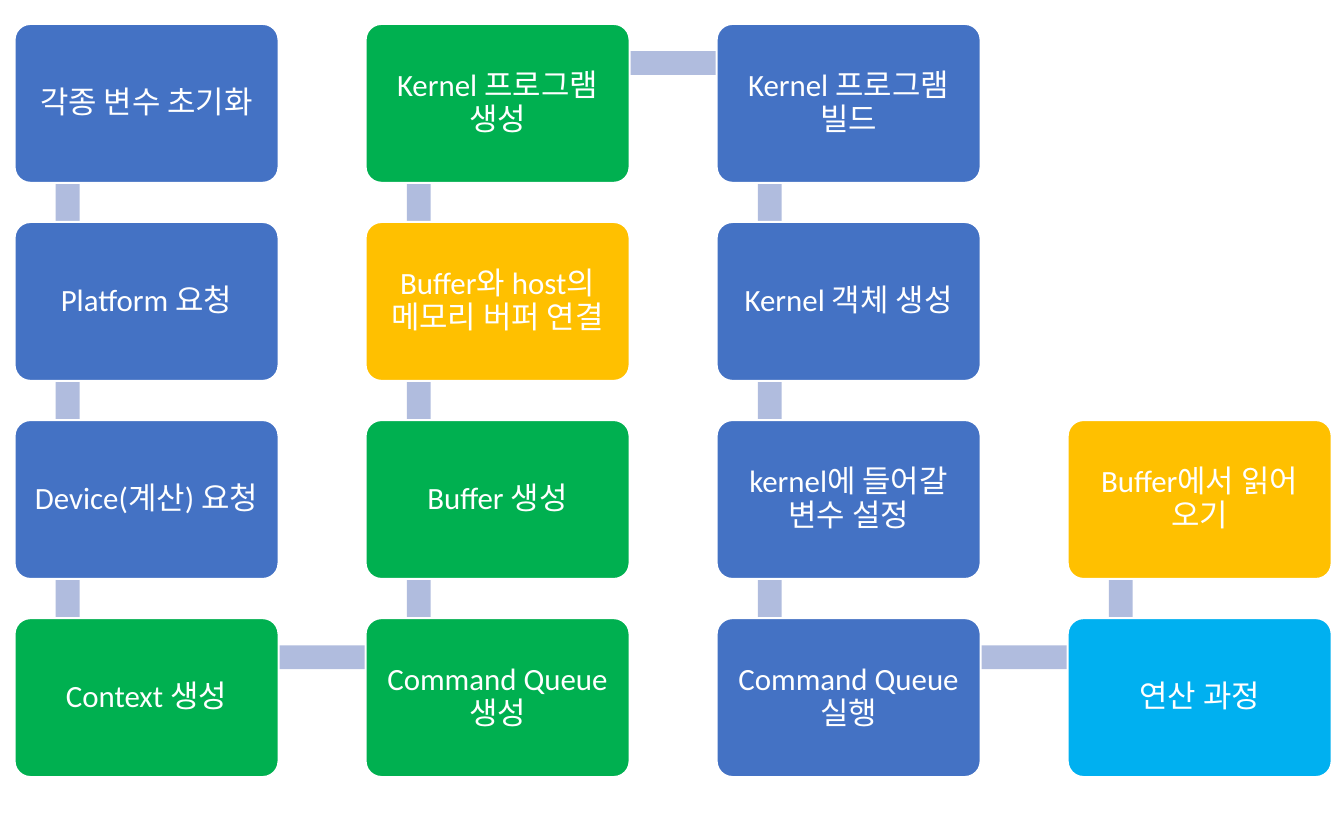
from pptx import Presentation
from pptx.dml.color import RGBColor
from pptx.enum.shapes import MSO_SHAPE
from pptx.enum.text import MSO_ANCHOR, PP_ALIGN
from pptx.util import Cm, Pt

RECTANGLE = MSO_SHAPE.RECTANGLE
ROUNDED = MSO_SHAPE.ROUNDED_RECTANGLE
MIDDLE = MSO_ANCHOR.MIDDLE
CENTER = PP_ALIGN.CENTER

COLORS = {
    "blue": "4472C4",
    "green": "00B050",
    "amber": "FFC000",
    "sky": "00B0F0",
    "link": "B0BCDE",
    "white": "FFFFFF",
}

LEFT, TOP = 0.25, 0.41
COLUMN_PITCH, ROW_PITCH = 6.01, 3.39
STEP_WIDTH, STEP_HEIGHT = 4.52, 2.72
JOINT_X, JOINT_Y = 0.91, 0.67
LINK_THICKNESS = 0.41
ROWS = 4

FRAME_FORMAT = {
    "word_wrap": True,
    "vertical_anchor": MIDDLE,
    "margin_left": Cm(0.23),
    "margin_right": Cm(0.23),
    "margin_top": Cm(0.23),
    "margin_bottom": Cm(0.23),
}
PARAGRAPH_FORMAT = {"alignment": CENTER, "line_spacing": 0.9, "space_after": Pt(5.25)}
FONT_FORMAT = {"name": "Calibri", "size": Pt(15)}

STEPS = [
    ("각종 변수 초기화", "blue"),
    ("Platform 요청", "blue"),
    ("Device(계산) 요청", "blue"),
    ("Context 생성", "green"),
    ("Command Queue 생성", "green"),
    ("Buffer 생성", "green"),
    ("Buffer와 host의 메모리 버퍼 연결", "amber"),
    ("Kernel 프로그램 생성", "green"),
    ("Kernel 프로그램 빌드", "blue"),
    ("Kernel 객체 생성", "blue"),
    ("kernel에 들어갈 변수 설정", "blue"),
    ("Command Queue 실행", "blue"),
    ("연산 과정", "sky"),
    ("Buffer에서 읽어 오기", "amber"),
]


def add_block(preset, left, top, width, height, color):
    block = slide.shapes.add_shape(preset, Cm(left), Cm(top), Cm(width), Cm(height))
    block.shadow.inherit = False
    block.fill.solid()
    block.fill.fore_color.rgb = RGBColor.from_string(COLORS[color])
    block.line.fill.background()
    return block


def apply_format(target, values):
    for attribute, value in values.items():
        setattr(target, attribute, value)


presentation = Presentation()
presentation.slide_width = Cm(23.01)
presentation.slide_height = Cm(14)
slide = presentation.slides.add_slide(presentation.slide_layouts[6])

corners = []
for index in range(len(STEPS)):
    column, position = divmod(index, ROWS)
    row = position if column % 2 == 0 else ROWS - 1 - position
    corners.append((LEFT + column * COLUMN_PITCH, TOP + row * ROW_PITCH))

for (left, top), (next_left, next_top) in zip(corners, corners[1:]):
    link_left = min(left, next_left) + JOINT_X
    link_top = min(top, next_top) + JOINT_Y
    if left == next_left:
        add_block(RECTANGLE, link_left - LINK_THICKNESS / 2, link_top,
                  LINK_THICKNESS, ROW_PITCH, "link")
    else:
        add_block(RECTANGLE, link_left, link_top - LINK_THICKNESS / 2,
                  COLUMN_PITCH, LINK_THICKNESS, "link")

for (label, color), (left, top) in zip(STEPS, corners):
    step = add_block(ROUNDED, left, top, STEP_WIDTH, STEP_HEIGHT, color)
    step.adjustments[0] = 0.1
    step.line.color.rgb = RGBColor.from_string(COLORS["white"])
    step.line.width = Pt(1)
    apply_format(step.text_frame, FRAME_FORMAT)
    paragraph = step.text_frame.paragraphs[0]
    apply_format(paragraph, PARAGRAPH_FORMAT)
    run = paragraph.add_run()
    run.text = label
    apply_format(run.font, FONT_FORMAT)
    run.font.color.rgb = RGBColor.from_string(COLORS["white"])

presentation.save("out.pptx")
